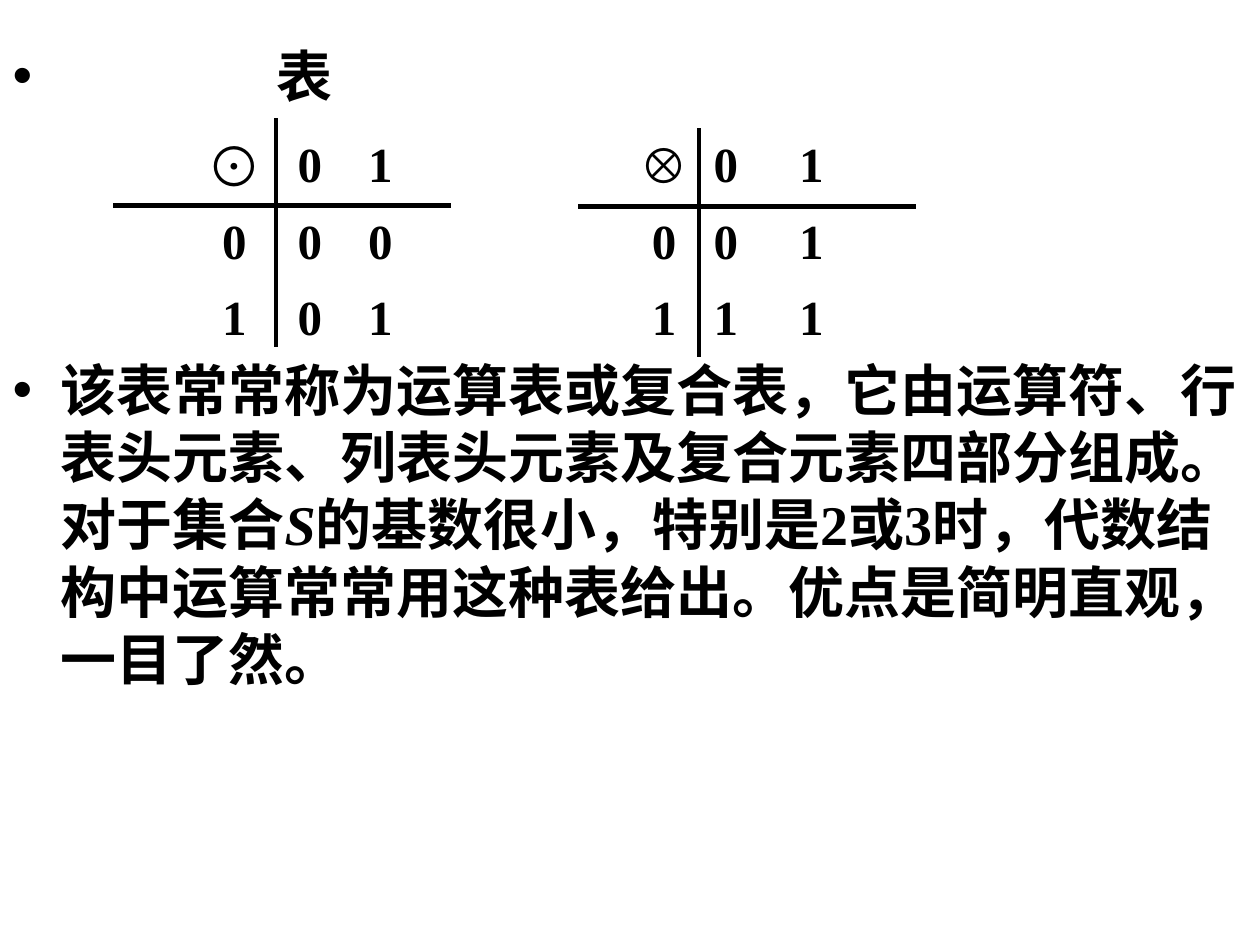
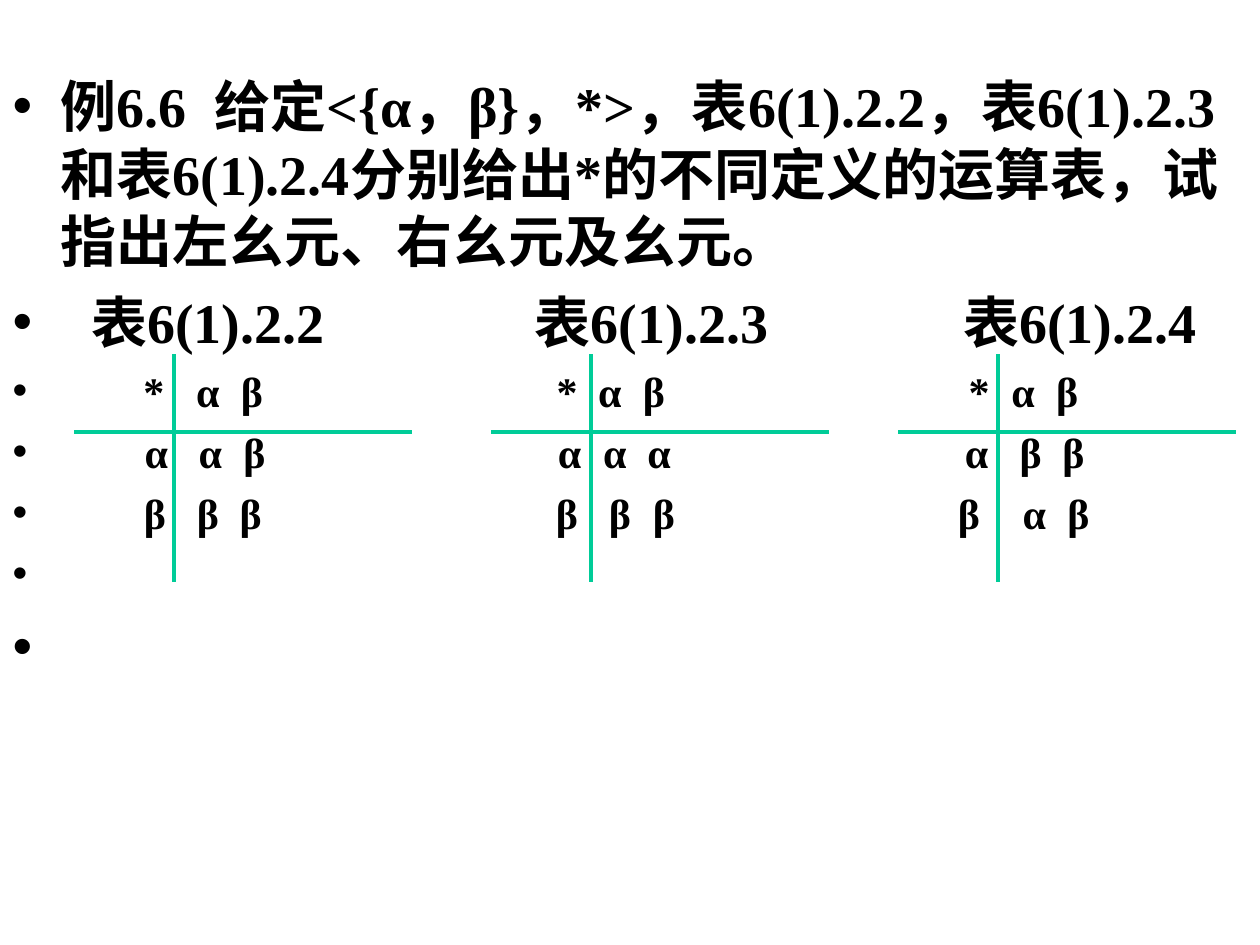
from lxml.etree import SubElement
from pptx import Presentation
from pptx.dml.color import RGBColor
from pptx.enum.shapes import MSO_CONNECTOR
from pptx.enum.text import MSO_ANCHOR, MSO_AUTO_SIZE, PP_ALIGN
from pptx.oxml.ns import qn
from pptx.util import Inches, Pt

BLACK = RGBColor(0x00, 0x00, 0x00)
GREEN = RGBColor(0x00, 0xCC, 0x98)
SERIF = "Times New Roman"
SANS = "Arial"
HANG = 0.38

prs = Presentation()
prs.slide_width = Inches(10)
prs.slide_height = Inches(7.5)


def add_text(paragraph, runs, size, face=SERIF):
    paragraph.line_spacing = Pt(size * 1.2)
    for text, italic in runs:
        run = paragraph.add_run()
        run.text = text
        run.font.size = Pt(size)
        run.font.bold = True
        run.font.italic = italic
        run.font.color.rgb = BLACK
        run.font.name = face
        SubElement(run._r.get_or_add_rPr(), qn("a:ea"), typeface=SANS)


def add_rule(slide, x1, y1, x2, y2, color):
    rule = slide.shapes.add_connector(
        MSO_CONNECTOR.STRAIGHT, Inches(x1), Inches(y1), Inches(x2), Inches(y2))
    rule.line.color.rgb = color
    rule.line.width = Pt(2.5)
    SubElement(rule._element.spPr, qn("a:effectLst"))


explanation = [
    ([("\t表", False)], 32, 8, [2.32]),
    ([("该表常常称为运算表或复合表，它由运算符、行表头元素、列表头元素及复合元素四部分组成。对于集合", False),
      ("S", True),
      ("的基数很小，特别是2或3时，代数结构中运算常常用这种表给出。优点是简明直观，一目了然。", False)],
     32, 141, []),
]

identity_example = [
    ([("例6.6  给定<{α，β}，*>，表6(1).2.2，表6(1).2.3和表6(1).2.4分别给出*的不同定义的运算表，试指出左幺元、右幺元及幺元。", False)],
     32, 8, []),
    ([("\t表6(1).2.2\t表6(1).2.3\t表6(1).2.4", False)], 32, 8, [1.55, 5.07, 8.47]),
]
composition_rows = [
    ("*αβ*αβ*αβ", [1.12, 1.55, 1.9, 4.4, 4.74, 5.09, 7.67, 8.02, 8.37]),
    ("ααβααααββ", [1.14, 1.57, 1.92, 4.42, 4.78, 5.13, 7.65, 8.08, 8.42]),
    ("βββββββαβ", [1.13, 1.55, 1.89, 4.4, 4.82, 5.17, 7.59, 8.11, 8.46]),
]
for elements, centers in composition_rows:
    cells = "".join("\t" + element for element in elements)
    identity_example.append(([(cells, False)], 24, 6, centers))
for size, before in [(24, 6), (32, 8)]:
    identity_example.append(([(" ", False)], size, before, []))

operation_tables = [
    (1.53, [0.66, 0.54, 0.58], ["⊙01", "000", "101"], 32, SERIF),
    (4.99, [0.56, 0.42, 0.94], ["⊗01", "001", "111"], 28, SANS),
]
row_heights = [0.6, 0.62, 0.58]

table_crosses = [(0.9, 1.63, 2.19, 0.94), (4.59, 1.64, 5.55, 1.02)]
example_crosses = [(left, 3.43, left + 0.79, 2.81) for left in (0.59, 3.9, 7.13)]

pages = [
    (0.28, explanation, operation_tables, table_crosses, BLACK),
    (0.52, identity_example, [], example_crosses, GREEN),
]
for top, paragraphs, tables, crosses, color in pages:
    slide = prs.slides.add_slide(prs.slide_layouts[1])
    title = slide.shapes.title._element
    title.getparent().remove(title)
    body = slide.placeholders[1]
    body.left, body.top = Inches(0), Inches(top)
    body.width, body.height = Inches(10), Inches(7.5 - top)
    frame = body.text_frame
    frame.word_wrap = True
    frame.auto_size = MSO_AUTO_SIZE.NONE

    for index, (runs, size, before, centers) in enumerate(paragraphs):
        paragraph = frame.add_paragraph() if index else frame.paragraphs[0]
        add_text(paragraph, runs, size)
        paragraph.space_before = Pt(before)
        props = paragraph._p.get_or_add_pPr()
        hang = 0 if centers else Inches(HANG)
        props.set("marL", str(hang))
        props.set("indent", str(-hang))
        bullet_color = SubElement(props, qn("a:buClr"))
        SubElement(bullet_color, qn("a:srgbClr"), val=str(BLACK))
        SubElement(props, qn("a:buFont"), typeface=SANS)
        SubElement(props, qn("a:buChar"), char="•")
        if centers:
            stops = SubElement(props, qn("a:tabLst"))
            for center in centers:
                SubElement(stops, qn("a:tab"), pos=str(Inches(center)), algn="ctr")

    for left, widths, rows, operator_size, operator_face in tables:
        table = slide.shapes.add_table(
            3, 3, Inches(left), Inches(1), Inches(sum(widths)),
            Inches(sum(row_heights))).table
        table.first_row = False
        table.horz_banding = False
        for column, width in zip(table.columns, widths):
            column.width = Inches(width)
        for r, elements in enumerate(rows):
            table.rows[r].height = Inches(row_heights[r])
            for c, element in enumerate(elements):
                cell = table.cell(r, c)
                cell.fill.background()
                cell.margin_left = cell.margin_right = 0
                cell.margin_top = cell.margin_bottom = 0
                cell.vertical_anchor = MSO_ANCHOR.MIDDLE
                entry = cell.text_frame.paragraphs[0]
                entry.alignment = PP_ALIGN.CENTER
                if r == c == 0:
                    add_text(entry, [(element, False)], operator_size, operator_face)
                else:
                    add_text(entry, [(element, False)], 28)

    for left, row_y, column_x, column_top in crosses:
        add_rule(slide, left, row_y, left + 2.68, row_y, color)
        add_rule(slide, column_x, column_top, column_x, column_top + 1.81, color)

prs.save("out.pptx")
